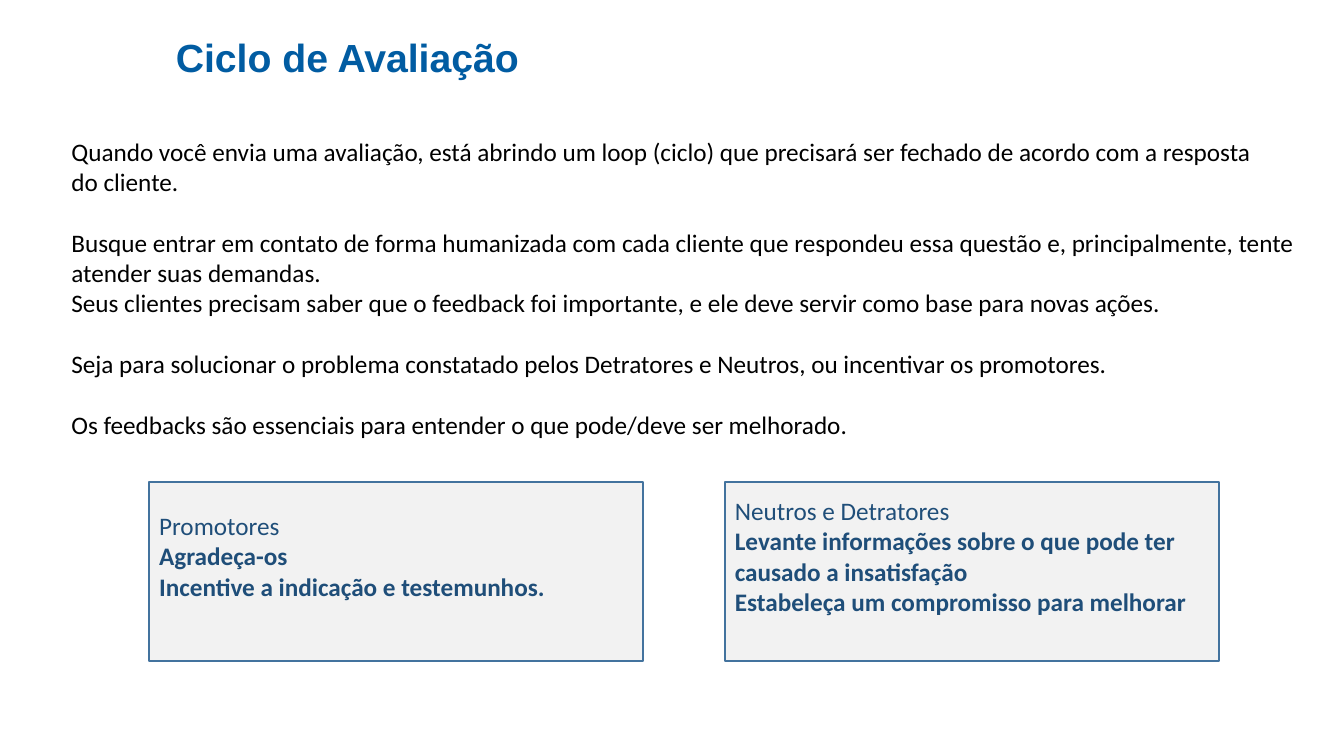
from pptx import Presentation
from pptx.dml.color import RGBColor
from pptx.enum.shapes import MSO_SHAPE as Shape
from pptx.enum.text import MSO_ANCHOR as Anchor, PP_ALIGN as Align
from pptx.util import Inches, Pt

TITLE_BLUE = RGBColor(0x01, 0x5C, 0xA2)
CARD_TEXT = RGBColor(0x1F, 0x4E, 0x79)
CARD_LINE = RGBColor(0x43, 0x73, 0x9E)
CARD_FILL = RGBColor(0xF2, 0xF2, 0xF2)
BLACK = RGBColor(0, 0, 0)

BODY_FONT = {"name": "Calibri", "size": Pt(18)}
BLANK_LINE = Pt(22)

# Each group is a list of lines; groups are set apart by one line of space
BODY_GROUPS = [
    ["Quando você envia uma avaliação, está abrindo um loop (ciclo) que "
     "precisará ser fechado de acordo com a resposta",
     "do cliente."],
    ["Busque entrar em contato de forma humanizada com cada cliente que "
     "respondeu essa questão e, principalmente, tente",
     "atender suas demandas.",
     "Seus clientes precisam saber que o feedback foi importante, e ele deve "
     "servir como base para novas ações."],
    ["Seja para solucionar o problema constatado pelos Detratores e Neutros, "
     "ou incentivar os promotores."],
    ["Os feedbacks são essenciais para entender o que pode/deve ser melhorado."],
]

CARDS = [
    ("Promotores",
     ["Agradeça-os", "Incentive a indicação e testemunhos."]),
    ("Neutros e Detratores",
     ["Levante informações sobre o que pode ter causado a insatisfação",
      "Estabeleça um compromisso para melhorar"]),
]
CARD_LEFT, CARD_PITCH = 1.48, 5.71


def set_all(target, values):
    for name, value in values.items():
        setattr(target, name, value)


def add_para(frame, text, font, color, **layout):
    """Fill the first empty paragraph, or append a new one."""
    first = frame.paragraphs[0]
    para = frame.add_paragraph() if first.runs else first
    set_all(para, layout)
    span = para.add_run()
    span.text = text
    set_all(span.font, font)
    span.font.color.rgb = color


def add_text_box(slide, left, top, width, height, anchor):
    box = slide.shapes.add_textbox(
        Inches(left), Inches(top), Inches(width), Inches(height))
    set_all(box.text_frame, {"word_wrap": True, "vertical_anchor": anchor})
    return box.text_frame


def add_title(slide, text):
    frame = add_text_box(slide, 0.22, 0, 6.45, 1.18, Anchor.MIDDLE)
    font = {"name": "Arial", "size": Pt(28), "bold": True}
    add_para(frame, text, font, TITLE_BLUE,
             alignment=Align.CENTER, line_spacing=0.9)


def add_body(slide, groups):
    frame = add_text_box(slide, 0.61, 1.3, 12.54, 4.34, Anchor.TOP)
    for group_index, lines in enumerate(groups):
        for line_index, line in enumerate(lines):
            starts_group = group_index > 0 and line_index == 0
            add_para(frame, line, BODY_FONT, BLACK,
                     space_before=BLANK_LINE if starts_group else Pt(0))


def add_card(slide, left, heading, actions):
    card = slide.shapes.add_shape(
        Shape.RECTANGLE, Inches(left), Inches(4.78), Inches(4.9), Inches(1.78))
    card.shadow.inherit = False
    card.fill.solid()
    card.fill.fore_color.rgb = CARD_FILL
    card.line.color.rgb = CARD_LINE
    card.line.width = Pt(1)

    # The deeper bottom margin lifts the text above the middle
    frame = card.text_frame
    set_all(frame, {"word_wrap": True, "vertical_anchor": Anchor.MIDDLE,
                    "margin_bottom": Inches(0.36)})
    add_para(frame, heading, BODY_FONT, CARD_TEXT, alignment=Align.LEFT)
    for action in actions:
        add_para(frame, action, {**BODY_FONT, "bold": True}, CARD_TEXT,
                 alignment=Align.LEFT)


def main():
    deck = Presentation()
    deck.slide_width, deck.slide_height = Inches(13.33), Inches(7.5)
    page = deck.slides.add_slide(deck.slide_layouts[6])

    # Title and explanation
    add_title(page, "Ciclo de Avaliação")
    add_body(page, BODY_GROUPS)

    # One card for each kind of client
    for index, (heading, actions) in enumerate(CARDS):
        add_card(page, CARD_LEFT + index * CARD_PITCH, heading, actions)

    deck.save("out.pptx")


if __name__ == "__main__":
    main()
